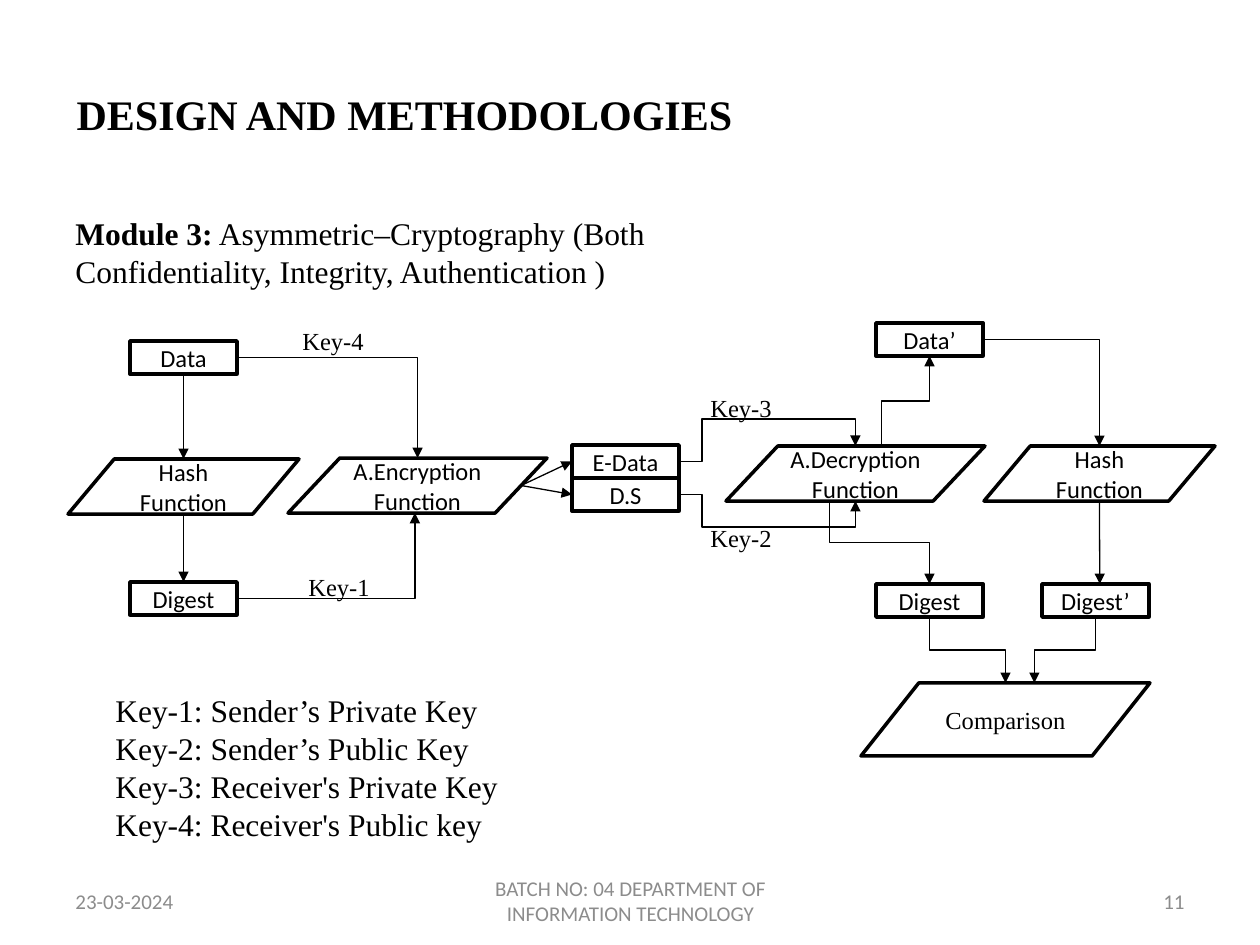
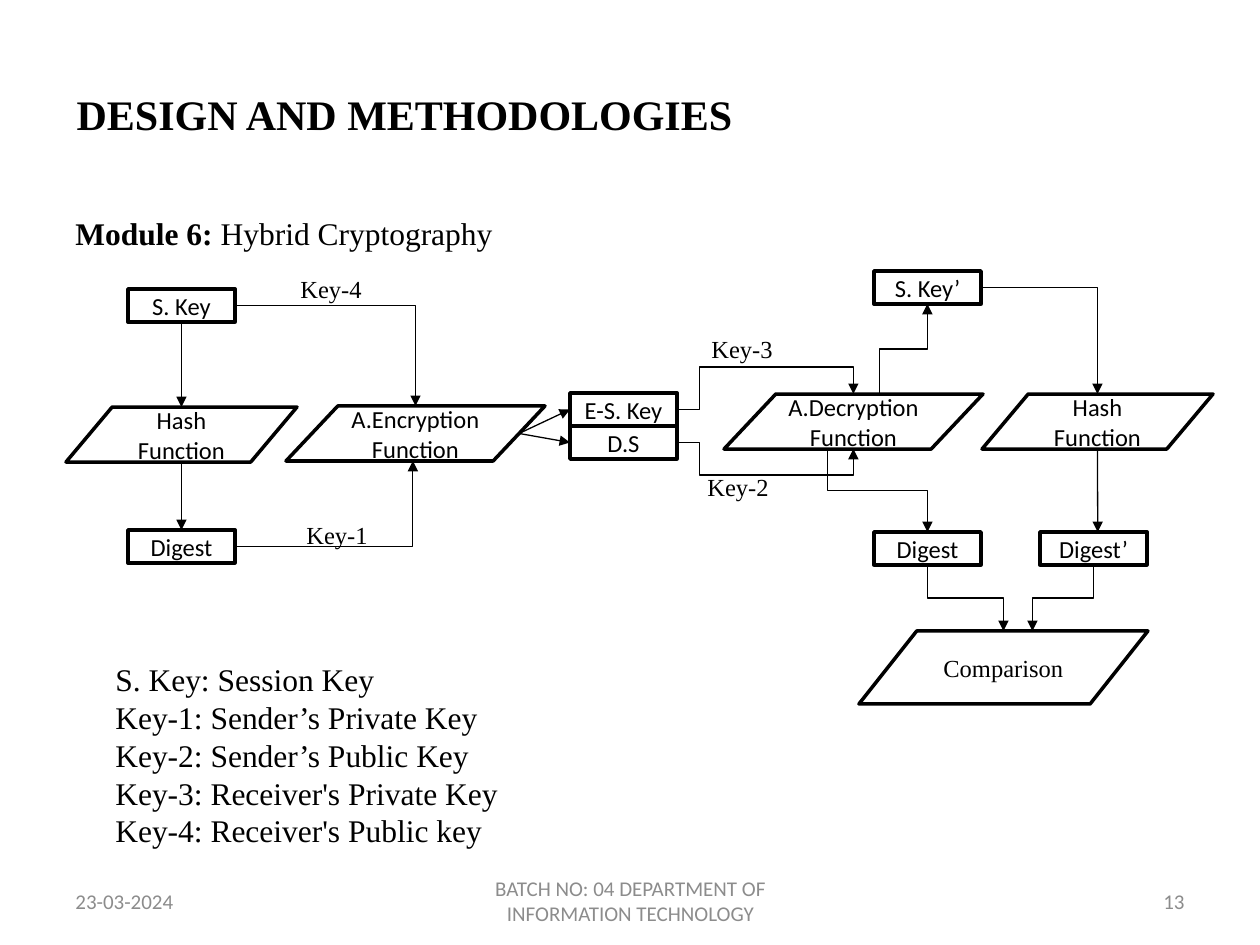
from lxml.etree import SubElement
from pptx import Presentation
from pptx.dml.color import RGBColor
from pptx.enum.shapes import MSO_CONNECTOR, MSO_SHAPE
from pptx.enum.text import MSO_ANCHOR, PP_ALIGN
from pptx.oxml.ns import qn
from pptx.util import Pt

# Shared look
PX = 914400 / 126
BLACK = RGBColor(0, 0, 0)
WHITE = RGBColor(255, 255, 255)
GREY = RGBColor(0x8C, 0x8C, 0x8C)
SERIF, SANS = "Times New Roman", "Calibri"

TITLE = "DESIGN AND METHODOLOGIES"
DATE = "23-03-2024"
DEPARTMENT = "BATCH NO: 04 DEPARTMENT OF INFORMATION TECHNOLOGY"
KEY_MEANINGS = [
    "Key-1: Sender’s Private Key",
    "Key-2: Sender’s Public Key",
    "Key-3: Receiver's Private Key",
    "Key-4: Receiver's Public key",
]

# Slide content; shift moves the whole diagram
MODULES = [
    dict(number="11", name="Module 3:", height=89, shift=(0, 0),
         topic=" Asymmetric–Cryptography (Both Confidentiality, Integrity, Authentication )",
         payload="Data", encrypted="E-Data",
         legend=KEY_MEANINGS, legend_box=(103, 685, 418, 165),
         key_labels={"Key-4": (290, 320), "Key-1": (296, 566),
                     "Key-3": (698, 387), "Key-2": (698, 517)}),
    dict(number="13", name="Module 6:", height=50, shift=(-2, -52),
         topic=" Hybrid Cryptography",
         payload="S. Key", encrypted="E-S. Key",
         legend=["S. Key: Session Key"] + KEY_MEANINGS,
         legend_box=(103, 654, 418, 204),
         key_labels={"Key-4": (288, 268), "Key-1": (294, 514),
                     "Key-3": (699, 328), "Key-2": (695, 466)}),
]

# Diagram: kind -> (preset, width, height, font)
KINDS = {
    "box": (MSO_SHAPE.RECTANGLE, 107, 33, SANS),
    "hash": (MSO_SHAPE.FLOWCHART_DATA, 231, 55, SANS),
    "cipher": (MSO_SHAPE.FLOWCHART_DATA, 259, 55, SANS),
    "compare": (MSO_SHAPE.FLOWCHART_DATA, 289, 73, SERIF),
}
# node -> (kind, left, top, text)
NODES = {
    "sent": ("box", 130, 341, "{payload}"),
    "sent hash": ("hash", 68, 459, "Hash Function"),
    "sent digest": ("box", 130, 582, "Digest"),
    "encryption": ("cipher", 288, 458, "A.Encryption Function"),
    "signature": ("box", 572, 478, "D.S"),
    "encrypted": ("box", 572, 445, "{encrypted}"),
    "decryption": ("cipher", 726, 446, "A.Decryption Function"),
    "signed digest": ("box", 876, 584, "Digest"),
    "received": ("box", 876, 323, "{payload}’"),
    "received hash": ("hash", 984, 446, "Hash Function"),
    "received digest": ("box", 1042, 584, "Digest’"),
    "comparison": ("compare", 861, 683, "Comparison"),
}
# Ends are (node, fraction across, fraction down)
STRAIGHT = [
    (("sent", .5, 1), ("sent hash", .5, 0)),
    (("sent hash", .5, 1), ("sent digest", .5, 0)),
    (("encryption", .9, .5), ("encrypted", 0, .5)),
    (("encryption", .9, .5), ("signature", 0, .5)),
    (("received hash", .5, 1), ("received digest", .54, 0)),
]
ONE_CORNER = [
    (("sent", 1, .5), ("encryption", .5, 0)),
    (("sent digest", 1, .5), ("encryption", .49, 1)),
    (("received", 1, .5), ("received hash", .5, 0)),
]
TWO_CORNERS = [
    (("decryption", .6, 0), ("received", .5, 1)),
    (("decryption", .4, 1), ("signed digest", .5, 0)),
    (("signed digest", .5, 1), ("comparison", .5, 0)),
    (("received digest", .5, 1), ("comparison", .6, 0)),
]
# The last value is the turning point (x, y)
THREE_CORNERS = [
    (("encrypted", 1, .5), ("decryption", .5, 0), (702, 419)),
    (("signature", 1, .5), ("decryption", .5, 1), (702, 527)),
]
SITES = {(.5, 0): 0, (0, .5): 1, (.5, 1): 2, (1, .5): 3}


def emu(*lengths):
    return [round(length * PX) for length in lengths]


def style(paragraph, size, font, color=BLACK, align=PP_ALIGN.LEFT, bold=False):
    paragraph.alignment = align
    paragraph.font.size = Pt(size)
    paragraph.font.name = font
    paragraph.font.color.rgb = color
    paragraph.font.bold = bold


def add_text(slide, box, lines, size, font=SERIF, color=BLACK,
             align=PP_ALIGN.LEFT, anchor=MSO_ANCHOR.TOP):
    frame = slide.shapes.add_textbox(*emu(*box)).text_frame
    frame.word_wrap = True
    frame.vertical_anchor = anchor
    frame.text = "\n".join(lines)
    for paragraph in frame.paragraphs:
        style(paragraph, size, font, color, align)
    return frame


def add_node(slide, kind, left, top, text):
    preset, width, height, font = KINDS[kind]
    node = slide.shapes.add_shape(preset, *emu(left, top, width, height))
    node.shadow.inherit = False
    node.fill.solid()
    node.fill.fore_color.rgb = WHITE
    node.line.color.rgb = BLACK
    node.line.width = Pt(2)
    frame = node.text_frame
    frame.word_wrap = True
    frame.vertical_anchor = MSO_ANCHOR.MIDDLE
    frame.text = text
    style(frame.paragraphs[0], 14, font, align=PP_ALIGN.CENTER)
    return node


def add_arrow(slide, start, end, preset=None, adjustments=()):
    kind = MSO_CONNECTOR.ELBOW if preset else MSO_CONNECTOR.STRAIGHT
    arrow = slide.shapes.add_connector(kind, *map(round, (*start, *end)))
    arrow.line.color.rgb = BLACK
    arrow.line.width = Pt(0.75)
    properties = arrow.line._get_or_add_ln()
    SubElement(properties, qn("a:tailEnd"), type="triangle")
    SubElement(arrow._element.spPr, qn("a:effectLst"))
    if preset:
        geometry = arrow._element.spPr.find(qn("a:prstGeom"))
        geometry.set("prst", preset)
        guides = geometry.find(qn("a:avLst"))
        for index, value in enumerate(adjustments, 1):
            SubElement(guides, qn("a:gd"), name=f"adj{index}",
                       fmla=f"val {round(value * 100000)}")
    return arrow


def add_vertical_elbow(slide, start, end):
    """Leave and arrive vertically: a horizontal elbow turned about its centre."""
    (x1, y1), (x2, y2) = start, end
    cx, cy = (x1 + x2) / 2, (y1 + y2) / 2
    turn, sign = (270, -1) if x2 > x1 and y2 > y1 else (90, 1)
    begin, finish = [(cx + sign * (y - cy), cy - sign * (x - cx))
                     for x, y in (start, end)]
    arrow = add_arrow(slide, begin, finish, "bentConnector3", [.5])
    arrow._element.spPr.find(qn("a:xfrm")).set("rot", str(turn * 60000))


def add_diagram(slide, module):
    dx, dy = module["shift"]
    nodes = {}
    for name, (kind, left, top, text) in NODES.items():
        nodes[name] = add_node(slide, kind, left + dx, top + dy, text.format(**module))

    def point(end):
        name, across, down = end
        node = nodes[name]
        return node.left + across * node.width, node.top + down * node.height

    for start, end in STRAIGHT:
        arrow = add_arrow(slide, point(start), point(end))
        for (name, *side), connect in ((start, arrow.begin_connect),
                                       (end, arrow.end_connect)):
            if NODES[name][0] == "box" and tuple(side) in SITES:
                connect(nodes[name], SITES[tuple(side)])
    for start, end in ONE_CORNER:
        add_arrow(slide, point(start), point(end), "bentConnector2")
    for start, end in TWO_CORNERS:
        add_vertical_elbow(slide, point(start), point(end))
    for start, end, (turn_x, turn_y) in THREE_CORNERS:
        (x1, y1), (x2, y2) = point(start), point(end)
        via_x, via_y = emu(turn_x + dx, turn_y + dy)
        add_arrow(slide, (x1, y1), (x2, y2), "bentConnector4",
                  [(via_x - x1) / (x2 - x1), (via_y - y1) / (y2 - y1)])


def add_frame(slide, number):
    title = slide.shapes.title
    title.left, title.top, title.width, title.height = emu(64, 35, 1134, 158)
    title.text_frame.text = TITLE
    title.text_frame.vertical_anchor = MSO_ANCHOR.MIDDLE
    style(title.text_frame.paragraphs[0], 24, SERIF, bold=True)
    for left, width, text, align in (
            (63, 294, DATE, PP_ALIGN.LEFT),
            (431, 399, DEPARTMENT, PP_ALIGN.CENTER),
            (903, 294, number, PP_ALIGN.RIGHT)):
        add_text(slide, (left, 876, width, 50), [text], 12, SANS, GREY,
                 align, MSO_ANCHOR.MIDDLE)


def add_module(deck, module):
    slide = deck.slides.add_slide(deck.slide_layouts[5])
    add_frame(slide, module["number"])
    heading = add_text(slide, (63, 208, 646, module["height"]), [module["name"]], 18)
    heading.paragraphs[0].runs[0].font.bold = True
    heading.paragraphs[0].add_run().text = module["topic"]
    add_diagram(slide, module)
    for label, (left, top) in module["key_labels"].items():
        add_text(slide, (left, top, 164, 43), [label], 14)
    add_text(slide, module["legend_box"], module["legend"], 18)


def main():
    deck = Presentation()
    deck.slide_width, deck.slide_height = emu(1260, 945)
    for module in MODULES:
        add_module(deck, module)
    deck.save("out.pptx")


if __name__ == "__main__":
    main()
